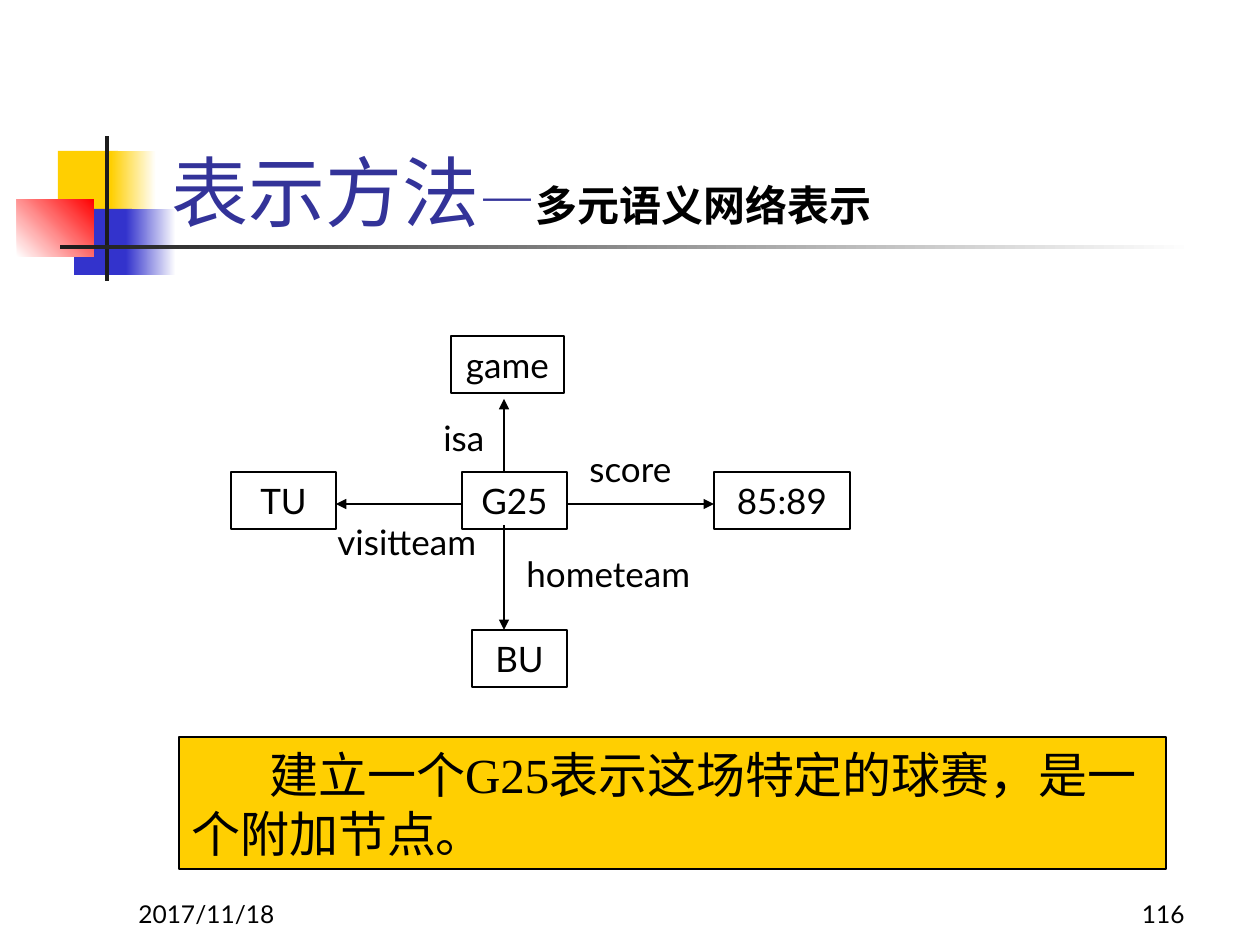
import pptx
import pptx.util
import pptx.dml.color
import pptx.enum.shapes
import pptx.enum.text
import pptx.oxml
import pptx.oxml.ns

PX = 914400 / 126
HUE = {"ink": "000000", "title": "333399", "gold": "FFCF01", "blue": "3333CC",
       "red": "FF0000", "dark": "1C1C1C", "white": "FFFFFF"}
SANS, SERIF = "Lato", "Times New Roman"
ALIGN = pptx.enum.text.PP_ALIGN
ANCHOR = pptx.enum.text.MSO_ANCHOR

# box, colour, colour it fades to, angle
DECOR = [
    ((58, 151, 60, 66), "gold", None, 0),
    ((111, 151, 45, 66), "gold", "white", 0),
    ((74, 209, 58, 66), "blue", None, 0),
    ((126, 209, 50, 66), "blue", "white", 0),
    ((17, 199, 77, 58), "white", "red", 45),
    ((105, 136, 4, 145), "dark", None, 0),
    ((60, 245, 1134, 4), "dark", "white", 0),
]
# text, size, colour, bold
TITLE = [("表示方法", 44, "title", False), ("—", 32, "title", False),
         ("多元语义网络表示", 24, "ink", True)]
# text, left, top, width
NODES = [("TU", 231, 472, 105), ("85:89", 714, 472, 136), ("game", 451, 336, 113),
         ("BU", 472, 630, 95), ("G25", 462, 472, 105)]
LABELS = [("score", 577, 441, 116), ("isa", 431, 410, 73),
          ("visitteam", 325, 514, 168), ("hometeam", 514, 546, 189)]
# from x, y, to x, y
ARROWS = [(567, 504, 714, 504), (504, 472, 504, 399),
          (504, 525, 504, 630), (462, 504, 336, 504)]
NOTE = "建立一个G25表示这场特定的球赛，是一个附加节点。"
FOOT = [("2017/11/18", 126, ALIGN.LEFT), ("116", 935, ALIGN.RIGHT)]
NODE_H, LABEL_H = 57, 54


def emu(*nums):
    return [round(n * PX) for n in nums]


def rgb(name):
    return pptx.dml.color.RGBColor.from_string(HUE[name])


def rect(slide, box, fill=None, fade=None, angle=0, line=False):
    shape = slide.shapes.add_shape(
        pptx.enum.shapes.MSO_SHAPE.RECTANGLE, *emu(*box))
    shape.shadow.inherit = False
    if fade:
        shape.fill.gradient()
        shape.fill.gradient_angle = angle
        for stop, name in zip(shape.fill.gradient_stops, (fill, fade)):
            stop.color.rgb = rgb(name)
    elif fill:
        shape.fill.solid()
        shape.fill.fore_color.rgb = rgb(fill)
    else:
        shape.fill.background()
    if line:
        shape.line.color.rgb = rgb("ink")
        shape.line.width = pptx.util.Pt(1)
    else:
        shape.line.fill.background()
    return shape


def write(shape, runs, font=SANS, align=ALIGN.LEFT, anchor=ANCHOR.TOP, wrap=True):
    frame = shape.text_frame
    frame.word_wrap = wrap
    frame.vertical_anchor = anchor
    para = frame.paragraphs[0]
    para.alignment = align
    for text, size, hue, bold in runs:
        run = para.add_run()
        run.text = text
        run.font.name = font
        run.font.size = pptx.util.Pt(size)
        run.font.bold = bold
        run.font.color.rgb = rgb(hue)
    return para


def arrow(slide, ends):
    link = slide.shapes.add_connector(
        pptx.enum.shapes.MSO_CONNECTOR.STRAIGHT, *emu(*ends))
    link.line.color.rgb = rgb("ink")
    link.line.width = pptx.util.Pt(1)
    tip = pptx.oxml.parse_xml(
        "<a:tailEnd %s type='triangle'/>" % pptx.oxml.ns.nsdecls("a"))
    link.line._get_or_add_ln().append(tip)
    link._element.spPr.append(pptx.oxml.parse_xml(
        "<a:effectLst %s/>" % pptx.oxml.ns.nsdecls("a")))


def main():
    deck = pptx.Presentation()
    deck.slide_width, deck.slide_height = emu(1260, 945)
    slide = deck.slides.add_slide(deck.slide_layouts[6])

    def label(box, runs, **style):
        write(slide.shapes.add_textbox(*emu(*box)), runs, **style)

    for box, fill, fade, angle in DECOR:
        rect(slide, box, fill, fade, angle)
    for text, left, align in FOOT:
        label((left, 872, 262, 63), [(text, 14, "ink", False)],
              align=align, anchor=ANCHOR.BOTTOM)
    label((159, 86, 1074, 157), TITLE, anchor=ANCHOR.BOTTOM)

    for text, left, top, width in NODES:
        node = rect(slide, (left, top, width, NODE_H), line=True)
        write(node, [(text, 20, "ink", False)], align=ALIGN.CENTER,
              anchor=ANCHOR.MIDDLE, wrap=text != "game")
    for text, left, top, width in LABELS:
        label((left, top, width, LABEL_H), [(text, 20, "ink", False)],
              wrap=text != "hometeam")
    for ends in ARROWS:
        arrow(slide, ends)

    note = rect(slide, (179, 737, 987, 132), "gold", line=True)
    para = write(note, [(NOTE, 28, "ink", False)], font=SERIF, anchor=ANCHOR.MIDDLE)
    para._p.get_or_add_pPr().set("indent", str(emu(78)[0]))

    deck.save("out.pptx")


if __name__ == "__main__":
    main()
